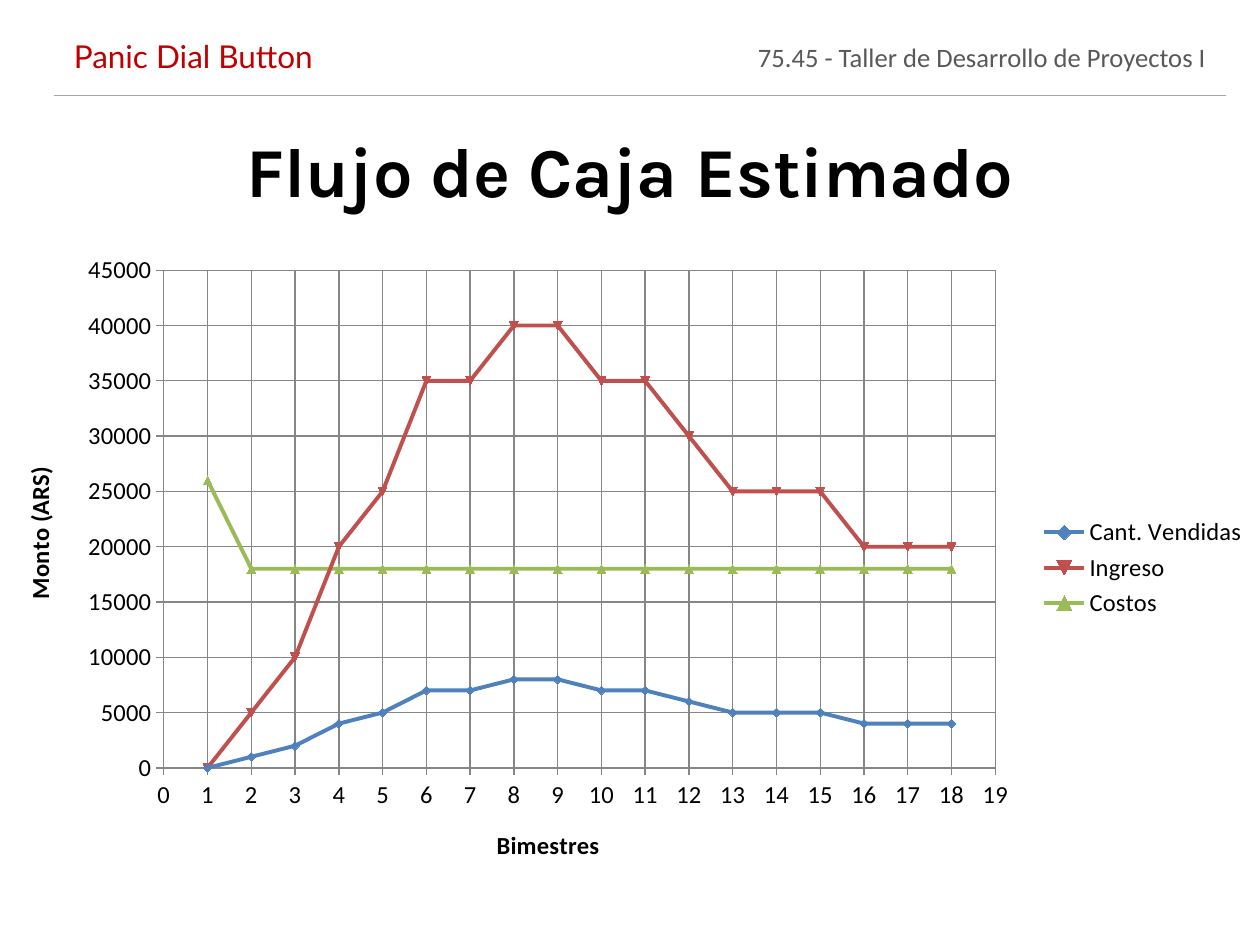
from lxml.etree import SubElement
from pptx import Presentation
from pptx.chart.data import XyChartData
from pptx.dml.color import RGBColor
from pptx.enum.chart import XL_CHART_TYPE, XL_LEGEND_POSITION, XL_TICK_MARK
from pptx.enum.shapes import MSO_CONNECTOR
from pptx.enum.text import MSO_ANCHOR, PP_ALIGN
from pptx.oxml import parse_xml
from pptx.oxml.ns import nsdecls, qn
from pptx.util import Inches, Pt

GRID = "868686"
SALES = [0, 1000, 2000, 4000, 5000, 7000, 7000, 8000, 8000,
         7000, 7000, 6000, 5000, 5000, 5000, 4000, 4000, 4000]
SERIES = [
    ("Cant. Vendidas", SALES, "4F81BD"),
    ("Ingreso", [sold * 5 for sold in SALES], "C0504D"),
    ("Costos", [26000] + [18000] * 17, "9BBB59"),
]


def color(value):
    """Turn a hex string into a colour."""
    return RGBColor.from_string(value)


def format_font(font, size, name="Calibri", fill="000000", bold=False):
    """Apply size, typeface, colour and weight to a font."""
    font.size, font.name, font.bold = Pt(size), name, bold
    font.color.rgb = color(fill)


def write(frame, text, **style):
    """Put one centred, formatted line of text in a frame."""
    frame.word_wrap = True
    frame.vertical_anchor = MSO_ANCHOR.MIDDLE
    frame.margin_top = frame.margin_bottom = 0
    paragraph = frame.paragraphs[0]
    paragraph.alignment = PP_ALIGN.CENTER
    run = paragraph.add_run()
    run.text = text
    format_font(run.font, **style)


class SlideBuilder:
    """Hold the current slide and the style of its elements."""

    def __init__(self, slide):
        """Keep the slide to draw on."""
        self.slide = slide

    def title(self, text, left, top, width, height):
        """Place and format the title."""
        heading = self.slide.shapes.title
        heading.left, heading.top = Inches(left), Inches(top)
        heading.width, heading.height = Inches(width), Inches(height)
        write(heading.text_frame, text, size=40, name="Karla", bold=True)

    def label(self, text, left, top, width, height, **style):
        """Add a text box."""
        box = self.slide.shapes.add_textbox(
            Inches(left), Inches(top), Inches(width), Inches(height))
        write(box.text_frame, text, **style)

    def rule(self, left, top, right):
        """Add a thin horizontal line."""
        line = self.slide.shapes.add_connector(
            MSO_CONNECTOR.STRAIGHT, Inches(left), Inches(top), Inches(right), Inches(top))
        line.line.color.rgb = color("A6A6A6")
        line.line.width = Pt(0.75)
        SubElement(line._element.spPr, qn("a:effectLst"))

    def axis(self, axis, title, maximum, step):
        """Format one axis with its title, scale and grid."""
        write_title = axis.axis_title.text_frame.paragraphs[0].add_run()
        write_title.text = title
        format_font(write_title.font, 14, bold=True)
        format_font(axis.tick_labels.font, 14)
        axis.tick_labels.number_format = "General"
        axis.tick_labels.number_format_is_linked = False
        axis.minimum_scale, axis.maximum_scale, axis.major_unit = 0, maximum, step
        axis.major_tick_mark = XL_TICK_MARK.CROSS
        axis.minor_tick_mark = XL_TICK_MARK.NONE
        axis.has_major_gridlines = True
        for line in (axis.format.line, axis.major_gridlines.format.line):
            line.color.rgb = color(GRID)
            line.width = Pt(0.75)

    def scatter(self, left, top, width, height):
        """Add the smooth cash flow chart."""
        data = XyChartData()
        for name, amounts, _ in SERIES:
            points = data.add_series(name)
            for period, amount in enumerate(amounts, 1):
                points.add_data_point(period, amount)
        chart = self.slide.shapes.add_chart(
            XL_CHART_TYPE.XY_SCATTER_SMOOTH, Inches(left), Inches(top),
            Inches(width), Inches(height), data).chart
        chart.has_title = False
        format_font(chart.font, 10)
        chart.has_legend = True
        chart.legend.position = XL_LEGEND_POSITION.RIGHT
        chart.legend.include_in_layout = False
        format_font(chart.legend.font, 14)
        self.axis(chart.category_axis, "Bimestres", 19, 1)
        self.axis(chart.value_axis, "Monto (ARS)", 45000, 5000)
        chart.plots[0].vary_by_categories = False
        for series, (_, _, tone) in zip(chart.plots[0].series, SERIES):
            series.smooth = True
            series.format.line.color.rgb = color(tone)
            series.format.line.width = Pt(2.25)
            series.marker.size = 5
            series.marker.format.fill.solid()
            series.marker.format.fill.fore_color.rgb = color(tone)
            series.marker.format.line.color.rgb = color(tone)
        self.plot_area(chart, x=0.13, y=0.04, w=0.66, h=0.77)

    def plot_area(self, chart, **fractions):
        """Fix the inner plot area as fractions of the chart."""
        area = chart._chartSpace.chart.plotArea
        for old in area.findall(qn("c:layout")):
            area.remove(old)
        modes = '<c:xMode val="edge"/><c:yMode val="edge"/>'
        sizes = "".join(f'<c:{key} val="{part}"/>' for key, part in fractions.items())
        area.insert(0, parse_xml(
            f'<c:layout {nsdecls("c")}><c:manualLayout><c:layoutTarget val="inner"/>'
            f"{modes}{sizes}</c:manualLayout></c:layout>"))


def main():
    """Build and save the cash flow slide."""
    deck = Presentation()
    deck.slide_width, deck.slide_height = Inches(10), Inches(7.5)
    builder = SlideBuilder(deck.slides.add_slide(deck.slide_layouts[5]))
    builder.label("75.45 - Taller de Desarrollo de Proyectos I", 5.63, 0.24, 4.33, 0.42,
                  size=15.2, fill="595959")
    builder.title("Flujo de Caja Estimado", 1.11, 0.91, 7.78, 0.87)
    builder.rule(0.43, 0.76, 9.73)
    builder.scatter(0, 1.94, 10, 5.13)
    builder.label("Panic Dial Button", 0.04, 0.28, 2.99, 0.32,
                  size=18, name="Lato", fill="C00000")
    deck.save("out.pptx")


if __name__ == "__main__":
    main()
